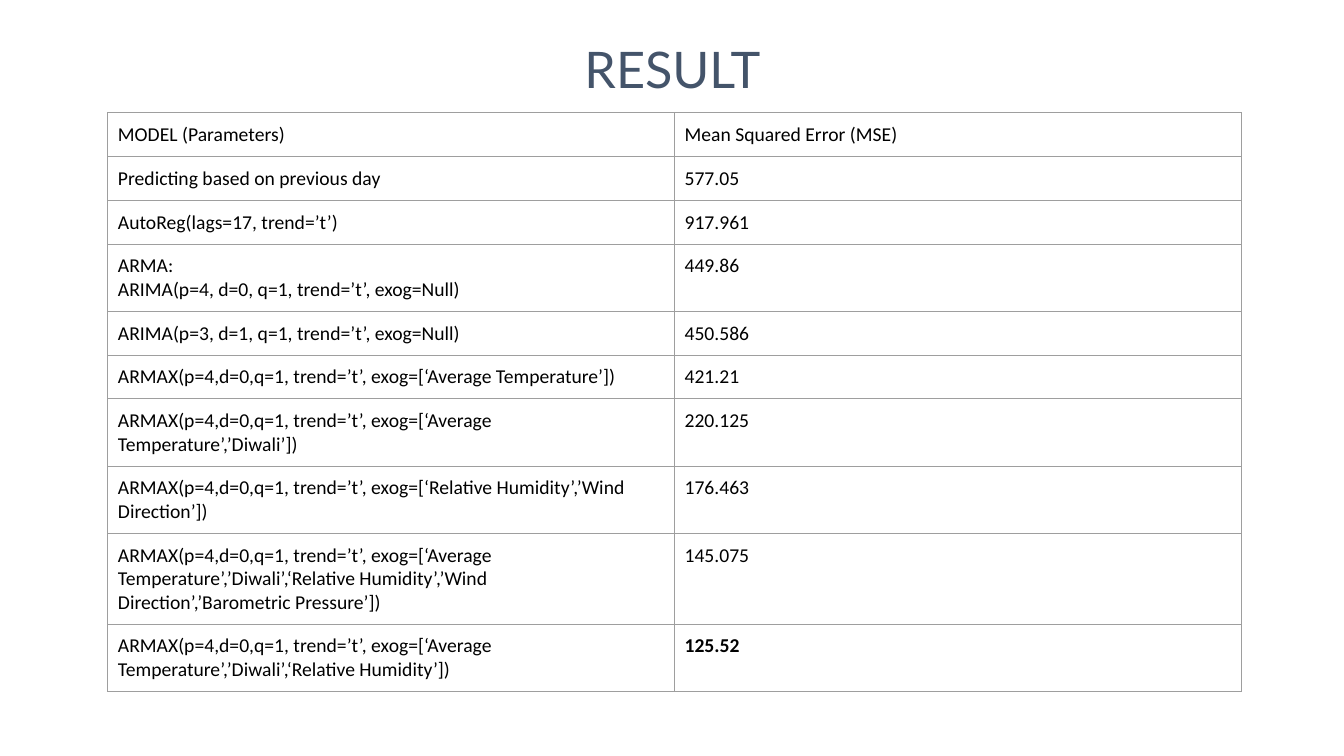
from lxml import etree
from pptx import Presentation
from pptx.dml.color import RGBColor
from pptx.enum import text
from pptx.oxml import ns
from pptx.util import Inches, Pt

TITLE = "RESULT"
HEADER = ("MODEL (Parameters)", "Mean Squared Error (MSE)")
RESULTS = [
    ("Predicting based on previous day", "577.05"),
    ("AutoReg(lags=17, trend=’t’)", "917.961"),
    ("ARMA:\nARIMA(p=4, d=0, q=1, trend=’t’, exog=Null)", "449.86"),
    ("ARIMA(p=3, d=1, q=1, trend=’t’, exog=Null)", "450.586"),
    ("ARMAX(p=4,d=0,q=1, trend=’t’, exog=[‘Average Temperature’])", "421.21"),
    ("ARMAX(p=4,d=0,q=1, trend=’t’, exog=[‘Average Temperature’,’Diwali’])", "220.125"),
    ("ARMAX(p=4,d=0,q=1, trend=’t’, exog=[‘Relative Humidity’,’Wind Direction’])", "176.463"),
    ("ARMAX(p=4,d=0,q=1, trend=’t’, exog=[‘Average Temperature’,’Diwali’,"
     "‘Relative Humidity’,’Wind Direction’,’Barometric Pressure’])", "145.075"),
    ("ARMAX(p=4,d=0,q=1, trend=’t’, exog=[‘Average Temperature’,’Diwali’,"
     "‘Relative Humidity’])", "125.52"),
]
BEST_MSE = "125.52"
TITLE_COLOR, TEXT_COLOR, BORDER_COLOR = "44546A", "000000", "9E9E9E"
COLUMN_WIDTH, ROW_HEIGHT, CELL_MARGIN = 5.62, 0.42, 0.1


def color(hex_value):
    return RGBColor.from_string(hex_value)


def add_run(paragraph, words, font_name, size, hex_value, bold=False):
    run = paragraph.add_run()
    run.text = words
    run.font.name = font_name
    run.font.size = Pt(size)
    run.font.bold = bold
    run.font.color.rgb = color(hex_value)


def add_borders(cell):
    properties = cell._tc.get_or_add_tcPr()
    for side in ("a:lnL", "a:lnR", "a:lnT", "a:lnB"):
        line = etree.SubElement(properties, ns.qn(side), w=str(Pt(0.75)))
        fill = etree.SubElement(line, ns.qn("a:solidFill"))
        etree.SubElement(fill, ns.qn("a:srgbClr"), val=BORDER_COLOR)


def fill_cell(cell, words):
    cell.margin_left = cell.margin_right = Inches(CELL_MARGIN)
    cell.margin_top = cell.margin_bottom = Inches(CELL_MARGIN)
    add_borders(cell)
    cell.fill.background()
    frame = cell.text_frame
    for index, line in enumerate(words.split("\n")):
        paragraph = frame.add_paragraph() if index else frame.paragraphs[0]
        add_run(paragraph, line, "Calibri", 14, TEXT_COLOR, words == BEST_MSE)


presentation = Presentation()
presentation.slide_width = Inches(13.33)
presentation.slide_height = Inches(7.5)
slide = presentation.slides.add_slide(presentation.slide_layouts[6])

# Title
title = slide.shapes.add_textbox(Inches(0.92), Inches(0.4), Inches(11.5), Inches(1.45))
title.text_frame.word_wrap = True
title.text_frame.vertical_anchor = text.MSO_ANCHOR.TOP
heading = title.text_frame.paragraphs[0]
heading.alignment = text.PP_ALIGN.CENTER
heading.line_spacing = 0.9
add_run(heading, TITLE, "Lato", 36, TITLE_COLOR)

# Results table: rows grow with their wrapped text
rows = [HEADER] + RESULTS
table = slide.shapes.add_table(
    len(rows), len(HEADER), Inches(1.07), Inches(1.12),
    Inches(COLUMN_WIDTH * len(HEADER)), Inches(ROW_HEIGHT * len(rows))).table
table.first_row = table.horz_banding = False
for column in table.columns:
    column.width = Inches(COLUMN_WIDTH)
for row, values in zip(table.rows, rows):
    row.height = Inches(ROW_HEIGHT)
    for cell, words in zip(row.cells, values):
        fill_cell(cell, words)

presentation.save("out.pptx")
